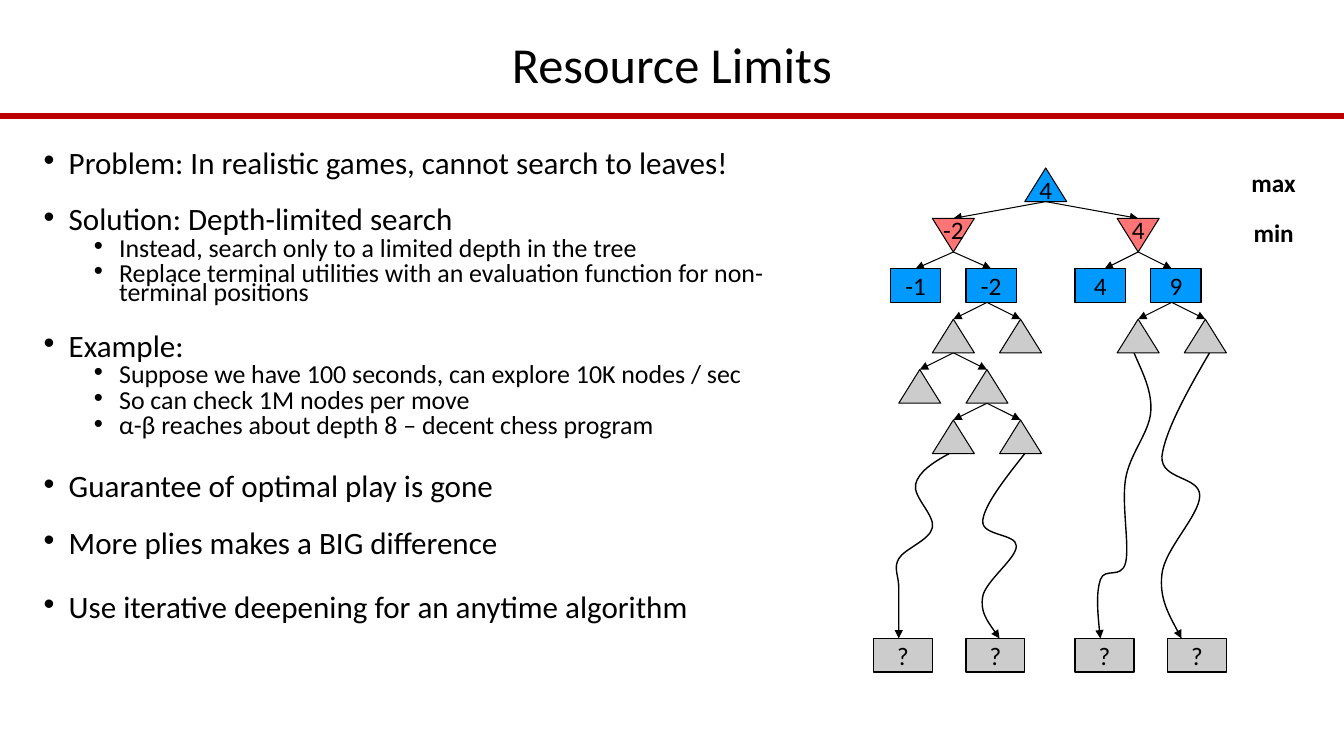
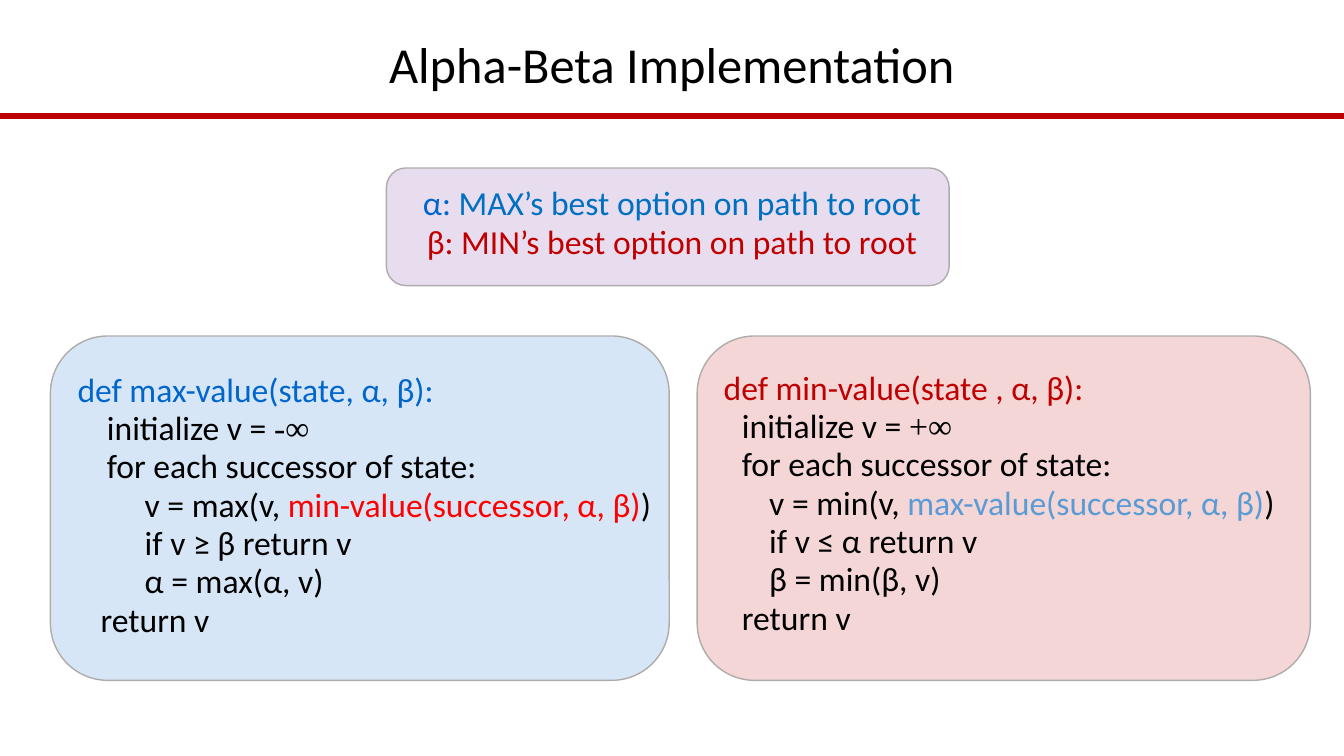
from pptx import Presentation
from pptx.dml.color import RGBColor
from pptx.enum.shapes import MSO_CONNECTOR, MSO_SHAPE
from pptx.enum.text import MSO_ANCHOR, PP_ALIGN
from pptx.oxml.ns import qn
from pptx.util import Pt
from lxml.etree import SubElement

BLACK = RGBColor(0x00, 0x00, 0x00)
RULE = RGBColor(0xBB, 0x00, 0x00)
GREY = RGBColor(0xCC, 0xCC, 0xCC)
EDGE = RGBColor(0xAF, 0xAB, 0xAB)
SKY = RGBColor(0x00, 0x99, 0xFF)
CORAL = RGBColor(0xFF, 0x75, 0x75)
BLUE = RGBColor(0x00, 0x66, 0xCC)
AZURE = RGBColor(0x00, 0x70, 0xC0)
PALE = RGBColor(0x5B, 0x9B, 0xD5)
DARK = RGBColor(0xC0, 0x00, 0x00)
RED = RGBColor(0xFF, 0x00, 0x00)
PLUM = RGBColor(0x70, 0x30, 0xA0)

FONT, MATH = "Calibri", "Times New Roman"
WIDE, HIGH = 960, 540

# Level, text, space before
POINTS = [
    (0, "Problem: In realistic games, cannot search to leaves!", 10),
    (0, "Solution: Depth-limited search", 24.45),
    (1, "Instead, search only to a limited depth in the tree", 5),
    (1, "Replace terminal utilities with an evaluation function for "
        "non-terminal positions", 5),
    (0, "Example:", 24.45),
    (1, "Suppose we have 100 seconds, can explore 10K nodes / sec", 5),
    (1, "So can check 1M nodes per move", 5),
    (1, "α-β reaches about depth 8 – decent chess program", 5),
    (0, "Guarantee of optimal play is gone", 29.45),
    (0, "More plies makes a BIG difference", 24.45),
    (0, "Use iterative deepening for an anytime algorithm", 29.45),
]

# Tree: row, parent centre, child centres
STEP, NODE = 36, 24
LINKS = [
    (0, 123, (57, 189)), (1, 57, (30, 84)), (1, 189, (165, 213)),
    (2, 81, (57, 105)), (2, 213, (189, 237)), (3, 57, (33, 81)),
    (4, 81, (57, 105)),
]
GREYS = [(3, (57, 105, 189, 237)), (4, (33, 81)), (5, (57, 105))]
LEAVES = [(30, "-1"), (84, "-2"), (162, "4"), (216, "9")]
ENDS = (21, 87, 165, 231)
# Start point, then the control points of cubic curves, three for each
PATHS = [
    [(54, 204), (43, 210), (32, 217), (30, 226), (28, 235), (44, 248),
     (42, 257), (40, 266), (22, 272), (18, 279), (14, 286), (18, 291),
     (18, 300), (18, 311), (18, 323), (18, 336)],
    [(108, 204), (93, 223), (79, 241), (78, 252), (77, 263), (102, 261),
     (102, 270), (102, 279), (80, 295), (78, 306), (76, 317), (83, 326),
     (90, 336)],
    [(240, 132), (223, 161), (208, 189), (206, 206), (205, 223), (233, 220),
     (233, 234), (233, 248), (208, 272), (206, 290), (204, 307), (212, 321),
     (220, 336)],
    [(186, 132), (192, 146), (199, 159), (198, 174), (197, 189), (183, 204),
     (180, 222), (177, 240), (183, 270), (180, 282), (177, 294), (165, 285),
     (162, 294), (159, 303), (160, 319), (162, 336)],
]

# Each line: left indent, then (text, colour) or (text, colour, font) runs
MAXCODE = [
    (0, [("def max-value(state, α, β):", BLUE)]),
    (21, [("initialize v = ", BLACK), ("-∞", BLACK, MATH)]),
    (21, [("for each successor of state:", BLACK)]),
    (48, [("v = max(v, ", BLACK), ("min-value(successor, α, β)", RED),
          (")", BLACK)]),
    (48, [("if v ≥ β return v", BLACK)]),
    (48, [("α = max(α, v)", BLACK)]),
    (16.5, [("return v", BLACK)]),
]
MINCODE = [
    (0, [("def min-value(state , α, β):", DARK)]),
    (13, [("initialize v = ", BLACK), ("+∞", BLACK, MATH)]),
    (13, [("for each successor of state:", BLACK)]),
    (32.5, [("v = min(v, ", BLACK), ("max-value(successor, α, β)", PALE),
            (")", BLACK)]),
    (32.5, [("if v ≤ α return v", BLACK)]),
    (32.5, [("β = min(β, v)", BLACK)]),
    (13, [("return v", BLACK)]),
]
LEGEND = [
    (0, [("α: ", BLUE), ("MAX’s best option on path to root", AZURE)]),
    (0, [("β: MIN’s best option on path to root", DARK)]),
]


def setup(frame, inset=(7.2, 3.6, 7.2, 3.6), anchor=MSO_ANCHOR.TOP, wrap=True):
    """Set insets (left, top, right, bottom), anchor and wrapping."""
    (frame.margin_left, frame.margin_top,
     frame.margin_right, frame.margin_bottom) = map(Pt, inset)
    frame.vertical_anchor = anchor
    frame.word_wrap = wrap


def style(para, size, color=None, align=PP_ALIGN.LEFT, bold=False):
    para.alignment = align
    font = para.font
    font.name, font.size, font.bold = FONT, Pt(size), bold
    if color is not None:
        font.color.rgb = color


def lines(frame):
    """Yield the first paragraph of a frame, then new ones."""
    yield frame.paragraphs[0]
    while True:
        yield frame.add_paragraph()


def label(shape, text, size=18, inset=(0, 0, 0, 0), bold=False):
    """Write one centred line in a shape."""
    frame = shape.text_frame
    setup(frame, inset, MSO_ANCHOR.MIDDLE, False)
    para = frame.paragraphs[0]
    para.text = text
    style(para, size, BLACK, PP_ALIGN.CENTER, bold)
    return para


def box(slide, left, top, width, height):
    return slide.shapes.add_textbox(Pt(left), Pt(top), Pt(width), Pt(height))


def solid(slide, kind, left, top, width, height, fill, line=BLACK, weight=1):
    shape = slide.shapes.add_shape(
        kind, Pt(left), Pt(top), Pt(width), Pt(height))
    shape.shadow.inherit = False
    shape.fill.solid()
    shape.fill.fore_color.rgb = fill
    shape.line.color.rgb = line
    shape.line.width = Pt(weight)
    return shape


def arrow(shape):
    """Put an arrowhead at the end of a line."""
    SubElement(shape.line._get_or_add_ln(), qn("a:tailEnd"), type="triangle")


def stroke(slide, x1, y1, x2, y2, color=BLACK, weight=0.75):
    line = slide.shapes.add_connector(
        MSO_CONNECTOR.STRAIGHT, Pt(x1), Pt(y1), Pt(x2), Pt(y2))
    line.line.color.rgb = color
    line.line.width = Pt(weight)
    SubElement(line.element.spPr, qn("a:effectLst"))
    return line


def curve(slide, left, top, dots):
    """Draw a chain of cubic curves that ends in an arrowhead."""
    spots = [(Pt(left + x), Pt(top + y)) for x, y in dots]
    form = slide.shapes.build_freeform(*spots[0])
    form.add_line_segments(spots[1:], close=False)
    shape = form.convert_to_shape()
    segs = list(shape.element.iter(qn("a:lnTo")))
    for i in range(0, len(segs), 3):
        cubic = SubElement(segs[i].getparent(), qn("a:cubicBezTo"))
        for seg in segs[i:i + 3]:
            cubic.append(seg[0])
            seg.getparent().remove(seg)
    shape.shadow.inherit = False
    shape.fill.background()
    shape.line.color.rgb = BLACK
    shape.line.width = Pt(1)
    arrow(shape)


def start(deck, title):
    """Add a slide with the shared title and rule."""
    slide = deck.slides.add_slide(deck.slide_layouts[6])
    stroke(slide, 0, 83, WIDE, 83, RULE, 4)
    head = label(box(slide, 66, 24.5, 828, 47.5), title, 36)
    head.line_spacing = 0.9
    return slide


def bullets(slide, left, top, width, height):
    frame = box(slide, left, top, width, height).text_frame
    setup(frame)
    for para, (level, text, gap) in zip(lines(frame), POINTS):
        para.text = text
        para.level = level
        style(para, (22.2, 18.5)[level], BLACK)
        para.line_spacing = 0.6
        para.space_before = Pt(gap)
        props = para._p.get_or_add_pPr()
        props.set("marL", str(Pt(18 + 36 * level)))
        props.set("indent", str(Pt(-18)))
        SubElement(props, qn("a:buFont"), typeface="Arial")
        # Bullets must come before the default run properties
        SubElement(props, qn("a:buChar"), char="•")
        props.append(props.find(qn("a:defRPr")))


def tree(slide, left, top):
    def node(kind, row, mid, fill, width=30, weight=0.75):
        return solid(slide, kind, left + mid - width / 2, top + row * STEP,
                     width, NODE, fill, weight=weight)

    for dots in PATHS:
        curve(slide, left, top, dots)
    for row, mid, kids in LINKS:
        foot = top + row * STEP + NODE
        for kid in kids:
            arrow(stroke(slide, left + mid, foot,
                         left + kid, foot + STEP - NODE))
    for row, mids in GREYS:
        for mid in mids:
            node(MSO_SHAPE.ISOSCELES_TRIANGLE, row, mid, GREY)

    root = node(MSO_SHAPE.ISOSCELES_TRIANGLE, 0, 123, SKY)
    label(root, "4", inset=(0, 0, 0, 6))
    for mid, text in ((57, "-2"), (189, "4")):
        label(node(MSO_SHAPE.FLOWCHART_MERGE, 1, mid, CORAL), text,
              inset=(0, 4, 0, 0))
    for mid, text in LEAVES:
        label(node(MSO_SHAPE.RECTANGLE, 2, mid, SKY, 36, 1), text)
    for mid in ENDS:
        label(node(MSO_SHAPE.RECTANGLE, 336 / STEP, mid, GREY, 42, 1), "?")
    for row, text in enumerate(("max", "min")):
        label(box(slide, left + 259.5, top - 4.5 + row * STEP, 52.5, 29),
              text, bold=True)


def card(slide, left, top, width, height, tint, rows, inset, gaps,
         align=PP_ALIGN.LEFT):
    """Draw a tinted card; gaps are the space before the first and later rows."""
    shape = solid(slide, MSO_SHAPE.ROUNDED_RECTANGLE,
                  left, top, width, height, tint, EDGE)
    SubElement(shape.element.spPr.find(qn("a:solidFill"))[0],
               qn("a:alpha"), val="16000")
    frame = shape.text_frame
    setup(frame, inset)
    for i, (para, (indent, runs)) in enumerate(zip(lines(frame), rows)):
        style(para, 24, align=align)
        para.line_spacing = 0.8
        para.space_before = Pt(gaps[min(i, 1)])
        para._p.get_or_add_pPr().set("marL", str(Pt(indent)))
        for text, color, *face in runs:
            run = para.add_run()
            run.text = text
            run.font.color.rgb = color
            if face:
                run.font.name = face[0]


def main():
    deck = Presentation()
    deck.slide_width, deck.slide_height = Pt(WIDE), Pt(HIGH)

    limits = start(deck, "Resource Limits")
    bullets(limits, 24, 108, 558, 356.5)
    tree(limits, 624, 120)

    code = start(deck, "Alpha-Beta Implementation")
    card(code, 276, 120, 402, 84, PLUM, LEGEND, (6, 11.5, 0, 0), (5, 5),
         PP_ALIGN.CENTER)
    card(code, 36, 240, 442, 246, BLUE, MAXCODE, (7.4, 17, 0, 0), (12, 4.3))
    card(code, 498, 240, 438, 246, DARK, MINCODE, (7, 15.6, 0, 0), (12, 4.3))

    deck.save("out.pptx")


if __name__ == "__main__":
    main()
